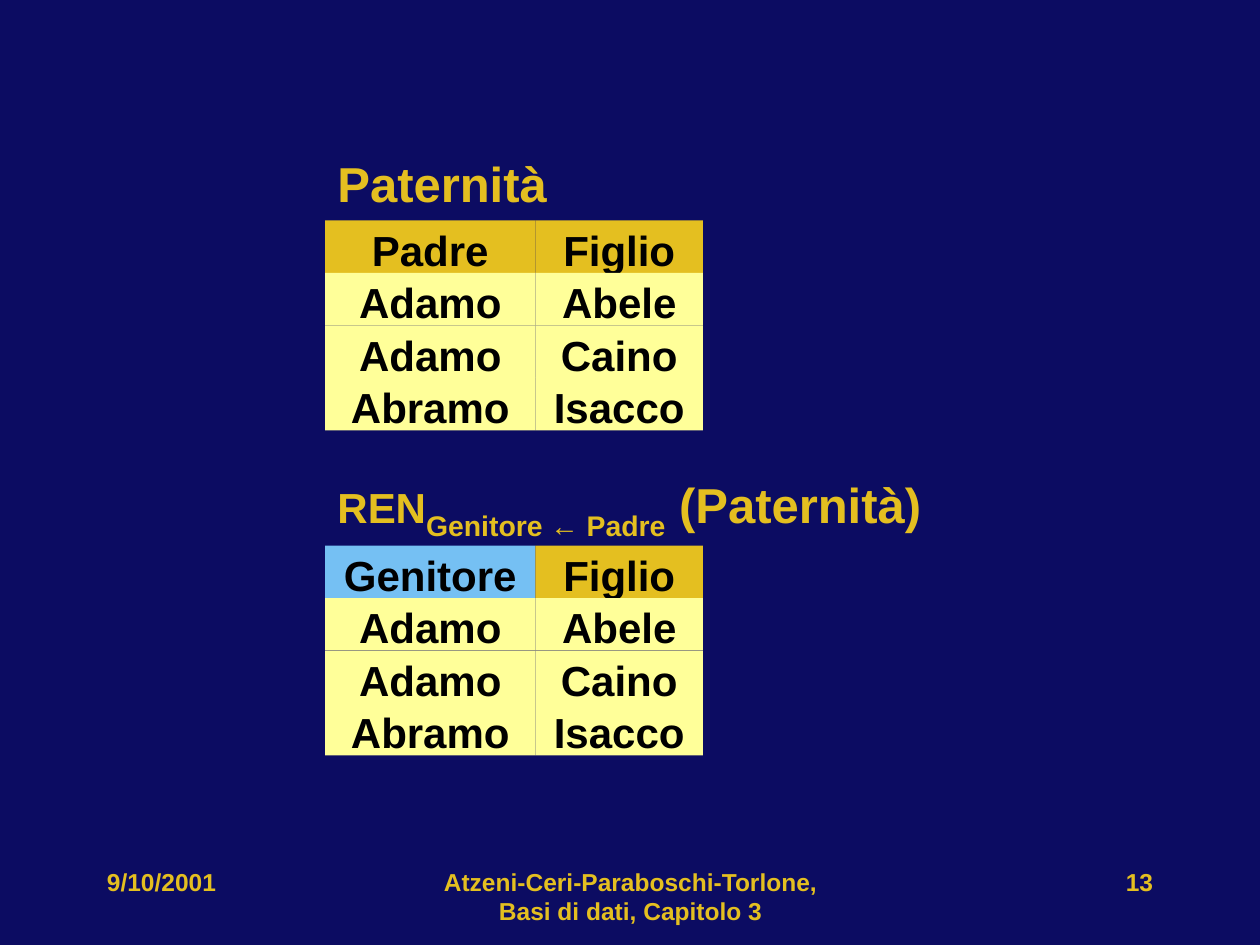
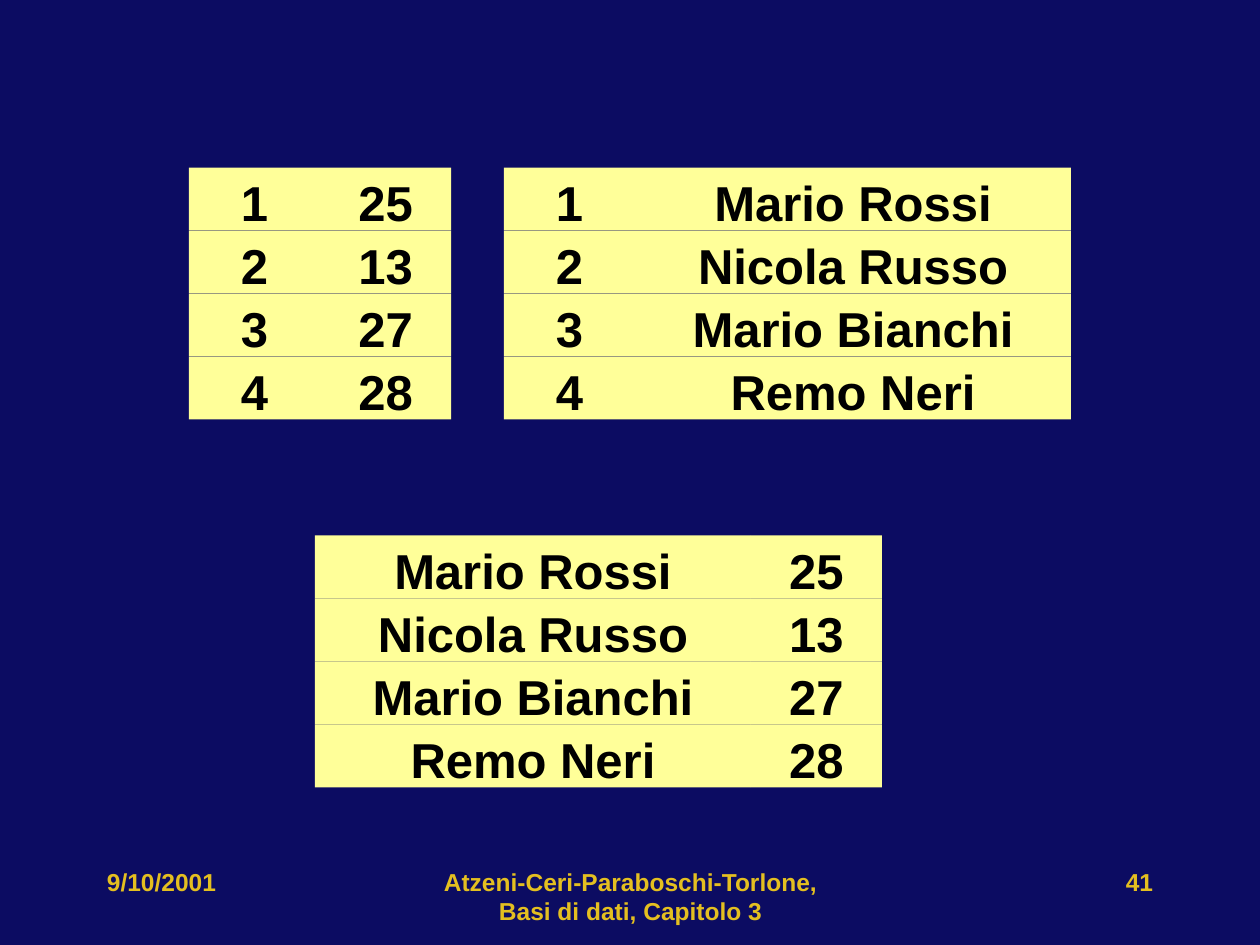
from dataclasses import dataclass

from pptx import Presentation
from pptx.dml.color import RGBColor
from pptx.enum import shapes, text
from pptx.util import Inches, Pt


@dataclass(frozen=True)
class Theme:
    font: str = "Arial"
    background: str = "0C0C62"
    gold: str = "E4BF20"
    yellow: str = "FFFF99"
    blue: str = "75C0F3"
    black: str = "000000"
    heading: int = 28
    body: int = 24
    footer: int = 14


theme = Theme()
ALIGN, ANCHOR = text.PP_ALIGN, text.MSO_ANCHOR


def write(sp, runs, color, align, anchor=ANCHOR.MIDDLE, wrap=True, drop=0.0):
    """Write one paragraph of (text, size, baseline) runs, lowered by drop inches."""
    tf = sp.text_frame
    tf.word_wrap = wrap
    tf.vertical_anchor = anchor
    tf.margin_top, tf.margin_bottom = Inches(0.05 + drop), Inches(0.05 - drop)
    p = tf.paragraphs[0]
    p.alignment = align
    for words, size, baseline in runs:
        r = p.add_run()
        r.text = words
        r.font.name, r.font.size, r.font.bold = theme.font, Pt(size), True
        r.font.color.rgb = RGBColor.from_string(color)
        if baseline:
            r.font._element.set("baseline", str(baseline))


def add_relation(s, left, top, widths, row_height, size, rows, header_fills=None):
    """Draw a grid of cells, with an optional fill for each header cell."""
    for i, row in enumerate(rows):
        for j, value in enumerate(row):
            sp = s.shapes.add_shape(shapes.MSO_SHAPE.RECTANGLE,
                                    Inches(left + sum(widths[:j])), Inches(top + i * row_height),
                                    Inches(widths[j]), Inches(row_height))
            sp.shadow.inherit = False
            sp.line.fill.background()
            sp.fill.solid()
            fill = header_fills[j] if header_fills and i == 0 else theme.yellow
            sp.fill.fore_color.rgb = RGBColor.from_string(fill)
            write(sp, [(value, size, 0)], theme.black, ALIGN.CENTER, wrap=False, drop=0.02)


# Presentation and shared background
prs = Presentation()
prs.slide_width, prs.slide_height = Inches(10), Inches(7.5)
background = prs.slide_master.background.fill
background.solid()
background.fore_color.rgb = RGBColor.from_string(theme.background)
blank = prs.slide_layouts[6]

# Slide 13: renaming
s = prs.slides.add_slide(blank)
children = [("Adamo", "Abele"), ("Adamo", "Caino"), ("Abramo", "Isacco")]
renamings = [
    (1.25, 2, "Padre", theme.gold, [("Paternità", theme.heading, 0)]),
    (3.83, 5, "Genitore", theme.blue, [("REN", theme.body, 0),
                                       ("Genitore ← Padre", theme.heading, -25000),
                                       (" (Paternità)", theme.heading, 0)]),
]
row_height = 1.25 / 3
for top, width, parent, parent_fill, heading in renamings:
    sp = s.shapes.add_textbox(Inches(2.58), Inches(top), Inches(width), Inches(0.33))
    write(sp, heading, theme.gold, ALIGN.LEFT, drop=0.04)
    add_relation(s, 2.58, top + 0.5, (1.67, 1.33), row_height, theme.body,
                 [(parent, "Figlio")] + children, (parent_fill, theme.gold))

# Slide 41: two relations and their join
s = prs.slides.add_slide(blank)
people = [("1", "25", "Mario Rossi"), ("2", "13", "Nicola Russo"),
          ("3", "27", "Mario Bianchi"), ("4", "28", "Remo Neri")]
narrow, wide = 1.04, 3.46
relations = [
    (1.5, 1.33, (narrow, narrow), [(key, age) for key, age, name in people]),
    (4, 1.33, (narrow, wide), [(key, name) for key, age, name in people]),
    (2.5, 4.25, (wide, narrow), [(name, age) for key, age, name in people]),
]
for left, top, widths, rows in relations:
    add_relation(s, left, top, widths, 0.5, theme.heading, rows)

# Footers
for s, number in zip(prs.slides, ("13", "41")):
    footers = [
        (3.42, 3.17, "Atzeni-Ceri-Paraboschi-Torlone, Basi di dati, Capitolo 3", ALIGN.CENTER),
        (7.17, 2.08, number, ALIGN.RIGHT),
        (0.75, 2.08, "9/10/2001", ALIGN.LEFT),
    ]
    for left, width, words, align in footers:
        sp = s.shapes.add_textbox(Inches(left), Inches(6.83), Inches(width), Inches(0.5))
        write(sp, [(words, theme.footer, 0)], theme.gold, align, ANCHOR.TOP)

prs.save("out.pptx")
